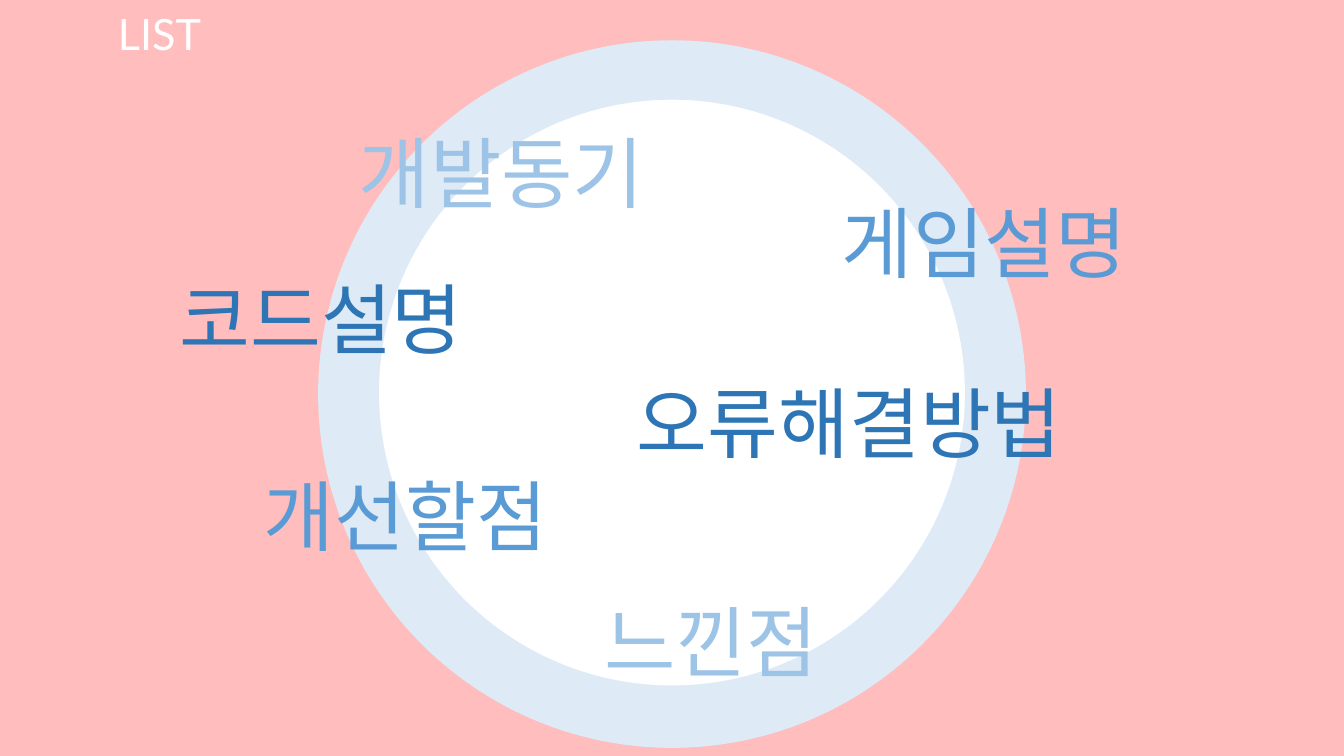
"""Build the LIST slide: a ring with six topic words placed around it."""
from pptx import Presentation
from pptx.dml.color import RGBColor
from pptx.enum.shapes import MSO_SHAPE
from pptx.enum.text import MSO_AUTO_SIZE, PP_ALIGN
from pptx.util import Inches, Pt

PINK = RGBColor(0xFF, 0xBD, 0xBD)
WHITE = RGBColor(0xFF, 0xFF, 0xFF)
ICE = RGBColor(0xDE, 0xEB, 0xF7)
LIGHT_BLUE = RGBColor(0x9D, 0xC3, 0xE6)
MID_BLUE = RGBColor(0x5B, 0x9B, 0xD5)
DARK_BLUE = RGBColor(0x2E, 0x75, 0xB6)

deck = Presentation()
deck.slide_width, deck.slide_height = Inches(13.33), Inches(7.5)
column, row = deck.slide_width / 100, deck.slide_height / 100
page = deck.slides.add_slide(deck.slide_layouts[6])
page.background.fill.solid()
page.background.fill.fore_color.rgb = PINK


def add_label(text, left, top, width, height, size, color, align):
    """Add one line of text, placed in hundredths of the slide."""
    box = page.shapes.add_textbox(
        int(left * column), int(top * row), int(width * column), int(height * row))
    frame_format = {
        "word_wrap": True, "auto_size": MSO_AUTO_SIZE.SHAPE_TO_FIT_TEXT,
        "margin_left": int(0.9 * column), "margin_right": int(0.9 * column),
        "margin_top": int(0.8 * row), "margin_bottom": int(0.8 * row),
    }
    for name, value in frame_format.items():
        setattr(box.text_frame, name, value)
    para = box.text_frame.paragraphs[0]
    para.alignment = align
    span = para.add_run()
    span.text = text
    for name, value in {"name": "Lato", "size": Pt(size)}.items():
        setattr(span.font, name, value)
    span.font.color.rgb = color


add_label("LIST", 7.88, 0.13, 34.06, 8.53, 30.8, WHITE, PP_ALIGN.LEFT)

for diameter, middle, color in [(93.6, 52.13, ICE), (77.47, 51.93, WHITE)]:
    side = int(diameter * row)
    circle = page.shapes.add_shape(
        MSO_SHAPE.OVAL, (deck.slide_width - side) // 2,
        int((middle - diameter / 2) * row), side, side)
    circle.shadow.inherit = False
    circle.fill.solid()
    circle.fill.fore_color.rgb = color
    circle.line.fill.background()

topics = [
    ("개선할점", 17.25, 61.2, 25.81, 55, MID_BLUE),
    ("개발동기", 23.26, 15.73, 28.13, 55.4, LIGHT_BLUE),
    ("오류해결방법", 44.41, 48.93, 37.58, 55, DARK_BLUE),
    ("게임설명", 60.02, 24.93, 26.48, 55.4, MID_BLUE),
    ("느낀점", 38.86, 77.73, 28.13, 55.4, LIGHT_BLUE),
    ("코드설명", 11.1, 35.07, 25.58, 55, DARK_BLUE),
]
for text, left, top, width, size, color in topics:
    add_label(text, left, top, width, 14.13, size, color, PP_ALIGN.CENTER)

deck.save("out.pptx")
